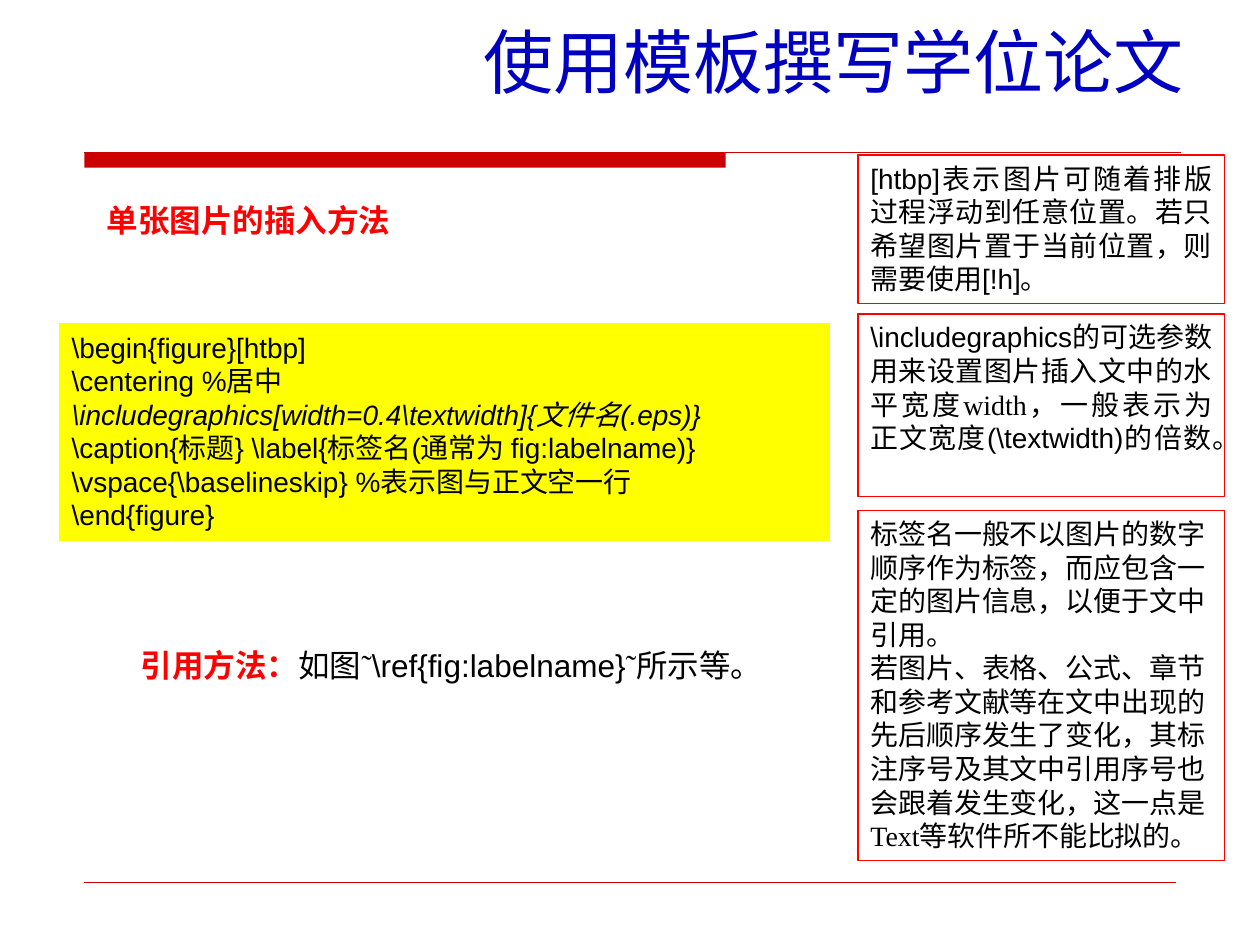
from dataclasses import dataclass
from typing import Optional

from pptx import Presentation
from pptx.dml.color import RGBColor
from pptx.enum.shapes import MSO_CONNECTOR, MSO_SHAPE
from pptx.enum.text import MSO_ANCHOR, MSO_AUTO_SIZE, PP_ALIGN
from pptx.oxml.ns import qn
from pptx.util import Inches, Pt

COLORS = {"title": "0000C0", "rule": "CC0000", "accent": "FF0000",
          "code": "FFFF00", "text": "000000"}
SANS, SERIF = "Arial", "Times New Roman"
LEFT, JUSTIFY = PP_ALIGN.LEFT, PP_ALIGN.JUSTIFY


@dataclass
class Run:
    text: str
    font: Optional[str] = None
    color: Optional[str] = None
    bold: Optional[bool] = None
    italic: Optional[bool] = None


@dataclass
class Box:
    left: float
    top: float
    width: float
    height: float
    paragraphs: list[list[Run]]
    size: int = 16
    align: PP_ALIGN = LEFT
    fill: Optional[str] = None
    line: Optional[str] = None
    line_width: float = 0.75
    wrap: bool = True


def rgb(name: str) -> RGBColor:
    return RGBColor.from_string(COLORS[name])


def add_rule(s, x1: float, x2: float, y: float, width: float) -> None:
    sp = s.shapes.add_connector(MSO_CONNECTOR.STRAIGHT, Inches(x1), Inches(y),
                                Inches(x2), Inches(y))
    sp.line.color.rgb = rgb("rule")
    sp.line.width = Pt(width)
    sp._element.spPr.append(sp._element.makeelement(qn("a:effectLst"), {}))


def add_run(p, run: Run) -> None:
    r = p.add_run()
    r.text = run.text
    if run.font:
        r.font.name = run.font
    if run.color:
        r.font.color.rgb = rgb(run.color)
    r.font.bold = run.bold
    r.font.italic = run.italic


def add_box(s, box: Box) -> None:
    area = [Inches(v) for v in (box.left, box.top, box.width, box.height)]
    if box.line:
        sp = s.shapes.add_shape(MSO_SHAPE.RECTANGLE, *area)
        sp.shadow.inherit = False
        sp.line.color.rgb = rgb(box.line)
        sp.line.width = Pt(box.line_width)
        if box.fill:
            sp.fill.solid()
            sp.fill.fore_color.rgb = rgb(box.fill)
        else:
            sp.fill.background()
    else:
        sp = s.shapes.add_textbox(*area)
    tf = sp.text_frame
    tf.word_wrap = box.wrap
    tf.auto_size = MSO_AUTO_SIZE.SHAPE_TO_FIT_TEXT
    tf.vertical_anchor = MSO_ANCHOR.TOP
    for i, runs in enumerate(box.paragraphs):
        p = tf.add_paragraph() if i else tf.paragraphs[0]
        p.alignment = box.align
        p.font.size = Pt(box.size)
        p.font.name = SANS
        p.font.color.rgb = rgb("text")
        for run in runs:
            add_run(p, run)


def add_title(s, text: str) -> None:
    sp = s.shapes.title
    sp.left, sp.top, sp.width, sp.height = (Inches(v) for v in (2.24, 0.05, 8.75, 0.81))
    tf = sp.text_frame
    tf.auto_size = MSO_AUTO_SIZE.NONE
    tf.vertical_anchor = MSO_ANCHOR.BOTTOM
    p = tf.paragraphs[0]
    p.text = text
    p.alignment = PP_ALIGN.CENTER
    p.font.size = Pt(40)
    p.font.name = SERIF
    p.font.color.rgb = rgb("title")


def add_header_bar(s) -> None:
    sp = s.shapes.add_shape(MSO_SHAPE.RECTANGLE, Inches(0.67), Inches(1.21),
                            Inches(5.09), Inches(0.12))
    sp.shadow.inherit = False
    sp.fill.solid()
    sp.fill.fore_color.rgb = rgb("rule")
    sp.line.fill.background()
    add_rule(s, 0.67, 9.37, 1.21, 0.75)


NOTE_LEFT, NOTE_WIDTH = 6.81, 2.91

BOXES = [
    Box(0.75, 1.55, 2.45, 0.4,
        [[Run("单张图片的插入方法", color="accent", bold=True)]], size=18, wrap=False),
    Box(0.47, 2.57, 6.11, 1.72, [
        [Run(r"\begin{figure}[htbp]")],
        [Run(r"\centering %居中")],
        [Run(r"\includegraphics[width=0.4\textwidth]{文件名(.eps)}", italic=True)],
        [Run(r"\caption{标题} \label{标签名(通常为 fig:labelname)}")],
        [Run(r"\vspace{\baselineskip} %表示图与正文空一行")],
        [Run(r"\end{figure}")],
    ], fill="code", line="code"),
    Box(NOTE_LEFT, 1.23, NOTE_WIDTH, 1.18, [
        [Run("[htbp]表示图片可随着排版过程浮动到任意位置。"
             "若只希望图片置于当前位置，则需要使用[!h]。")],
    ], align=JUSTIFY, line="accent", line_width=1),
    Box(NOTE_LEFT, 2.49, NOTE_WIDTH, 1.45, [
        [Run(r"\includegraphics的可选参数用来设置图片插入文中的水平宽度"),
         Run("width", font=SERIF),
         Run(r"，一般表示为正文宽度(\textwidth)的倍数。")],
    ], align=JUSTIFY, line="accent", line_width=1),
    Box(NOTE_LEFT, 4.05, NOTE_WIDTH, 2.78, [
        [Run("标签名一般不以图片的数字顺序作为标签，而应包含一定的图片信息，以便于文中引用。")],
        [Run("若图片、表格、公式、章节和参考文献等在文中出现的先后顺序发生了变化，"
             "其标注序号及其文中引用序号也会跟着发生变化，这一点是"),
         Run("Text等", font=SERIF),
         Run("软件所不能比拟的。")],
    ], line="accent"),
    Box(1.02, 5.08, 5.2, 0.4, [
        [Run("引用方法：", color="accent", bold=True),
         Run("如图"),
         Run("˜", font=SERIF),
         Run(r"\ref{fig:labelname}"),
         Run("˜", font=SERIF),
         Run("所示等。")],
    ], size=18, align=JUSTIFY),
]


def main() -> None:
    prs = Presentation()
    prs.slide_width, prs.slide_height = Inches(10), Inches(7.5)
    s = prs.slides.add_slide(prs.slide_layouts[5])
    add_header_bar(s)
    add_rule(s, 0.67, 9.33, 7, 0.25)
    for box in BOXES:
        add_box(s, box)
    add_title(s, "使用模板撰写学位论文")
    prs.save("out.pptx")


if __name__ == "__main__":
    main()
